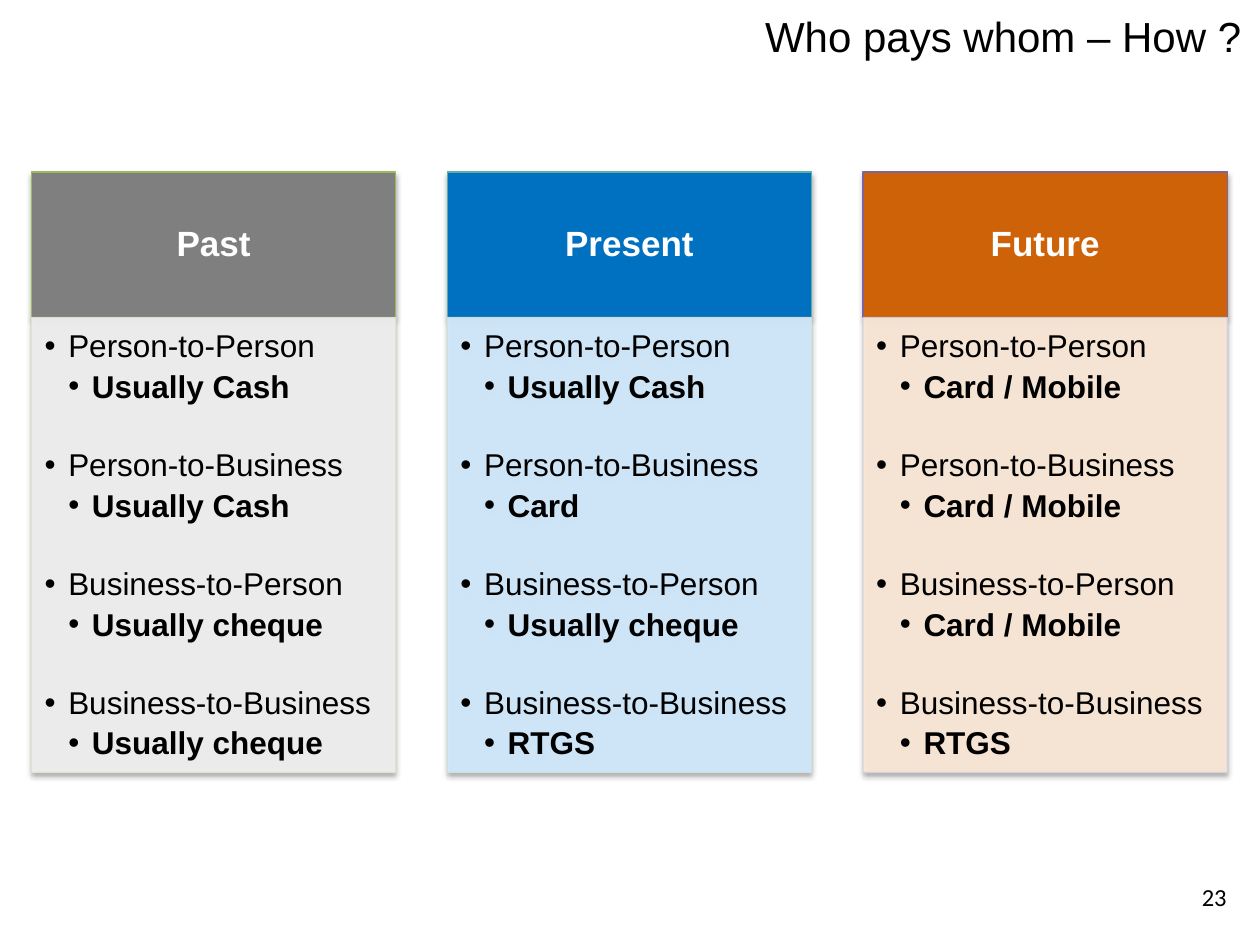
from lxml import etree
from pptx import Presentation
from pptx.dml.color import RGBColor
from pptx.enum.shapes import MSO_SHAPE
from pptx.enum.text import MSO_ANCHOR, PP_ALIGN
from pptx.oxml.ns import qn
from pptx.util import Pt

RECT = MSO_SHAPE.RECTANGLE
TOP, MIDDLE = MSO_ANCHOR.TOP, MSO_ANCHOR.MIDDLE
LEFT, CENTER, RIGHT = PP_ALIGN.LEFT, PP_ALIGN.CENTER, PP_ALIGN.RIGHT

COLORS = {
    "black": "000000",
    "white": "FFFFFF",
    "past": "7F7F7F", "past_line": "9BBB59",
    "past_body": "F2F2F2", "past_body_line": "DDE5D0",
    "present": "0070C0", "present_line": "5DAEA5",
    "present_body": "D1EBFF", "present_body_line": "D0E1DF",
    "future": "CD6209", "future_line": "7F63A1",
    "future_body": "FDE9D8", "future_body_line": "D6D0DE",
}
FLOWS = ["Person-to-Person", "Person-to-Business",
         "Business-to-Person", "Business-to-Business"]
PERIODS = [
    ("Past", ["Usually Cash", "Usually Cash", "Usually cheque", "Usually cheque"]),
    ("Present", ["Usually Cash", "Card", "Usually cheque", "RTGS"]),
    ("Future", ["Card / Mobile", "Card / Mobile", "Card / Mobile", "RTGS"]),
]
COL_LEFT, COL_WIDTH, COL_STEP = 18, 208.1, 237.6
HEAD_TOP, HEAD_HEIGHT, BODY_HEIGHT = 98.3, 83.2, 260
INDENT, ITEM_GAP, GROUP_GAP = 13.5, 3.5, 25.6


def rgb(name):
    return RGBColor.from_string(COLORS[name])


def setup_frame(tf, insets, anchor):
    tf.word_wrap = True
    tf.vertical_anchor = anchor
    tf.margin_left, tf.margin_top, tf.margin_right, tf.margin_bottom = map(Pt, insets)


def add_bullet(p, level):
    pPr = p._p.get_or_add_pPr()
    pPr.set("marL", str(Pt(INDENT * level)))
    pPr.set("indent", str(-Pt(INDENT)))
    etree.SubElement(pPr, qn("a:buFont")).set("typeface", "Arial")
    etree.SubElement(pPr, qn("a:buChar")).set("char", "•")


def write(p, text, size=18, color="black", bold=False, font="Arial",
          align=LEFT, spacing=None, before=0, level=0):
    if level:
        p.level = level
        add_bullet(p, level)
    p.alignment = align
    p.line_spacing = spacing
    p.space_before = Pt(before)
    r = p.add_run()
    r.text = text
    r.font.name, r.font.size, r.font.bold = font, Pt(size), bold
    r.font.color.rgb = rgb(color)


def add_shadow(sp):
    sp.shadow.inherit = False
    effects = sp._element.spPr.find(qn("a:effectLst"))
    outer = etree.SubElement(effects, qn("a:outerShdw"), blurRad=str(Pt(3.1)),
                             dist=str(Pt(1.8)), dir="5400000", rotWithShape="0")
    clr = etree.SubElement(outer, qn("a:srgbClr"), val=COLORS["black"])
    etree.SubElement(clr, qn("a:alpha"), val="35000")


def add_panel(s, x, y, height, color, opacity=100):
    sp = s.shapes.add_shape(RECT, Pt(x), Pt(y), Pt(COL_WIDTH), Pt(height))
    sp.fill.solid()
    sp.fill.fore_color.rgb = rgb(color)
    sp.line.color.rgb = rgb(color + "_line")
    sp.line.width = Pt(0.75)
    if opacity < 100:
        for clr in sp._element.spPr.iter(qn("a:srgbClr")):
            etree.SubElement(clr, qn("a:alpha"), val=str(opacity * 1000))
    add_shadow(sp)
    return sp


def add_header(s, x, name):
    tf = add_panel(s, x, HEAD_TOP, HEAD_HEIGHT, name.lower()).text_frame
    setup_frame(tf, (11.2, 6.4, 11.2, 6.4), MIDDLE)
    write(tf.paragraphs[0], name, size=20, color="white", bold=True,
          align=CENTER, spacing=0.9)


def add_methods(s, x, name, methods):
    sp = add_panel(s, x, HEAD_TOP + HEAD_HEIGHT, BODY_HEIGHT,
                   name.lower() + "_body", opacity=90)
    tf = sp.text_frame
    setup_frame(tf, (7.5, 7.5, 10, 11.5), TOP)
    for i, (flow, method) in enumerate(zip(FLOWS, methods)):
        p = tf.add_paragraph() if i else tf.paragraphs[0]
        write(p, flow, level=1, spacing=0.9, before=GROUP_GAP if i else 0)
        write(tf.add_paragraph(), method, level=2, bold=True, spacing=0.9,
              before=ITEM_GAP)


def add_title(s, text):
    sp = s.shapes.title
    sp.left, sp.top, sp.width, sp.height = Pt(150), Pt(1.5), Pt(566.5), Pt(38)
    setup_frame(sp.text_frame, (7.2, 3.6, 7.2, 3.6), MIDDLE)
    write(sp.text_frame.paragraphs[0], text, size=24, align=RIGHT)


def add_page_number(s, number):
    sp = s.shapes.add_textbox(Pt(540), Pt(498), Pt(168), Pt(28.8))
    setup_frame(sp.text_frame, (7.2, 3.6, 7.2, 3.6), MIDDLE)
    write(sp.text_frame.paragraphs[0], number, size=14, font="Calibri", align=RIGHT)


def main():
    prs = Presentation()
    prs.slide_width, prs.slide_height = Pt(720), Pt(540)
    s = prs.slides.add_slide(prs.slide_layouts[5])
    add_title(s, "Who pays whom – How ?")
    for i, (name, methods) in enumerate(PERIODS):
        x = COL_LEFT + i * COL_STEP
        add_header(s, x, name)
        add_methods(s, x, name, methods)
    add_page_number(s, "23")
    prs.save("out.pptx")


if __name__ == "__main__":
    main()
